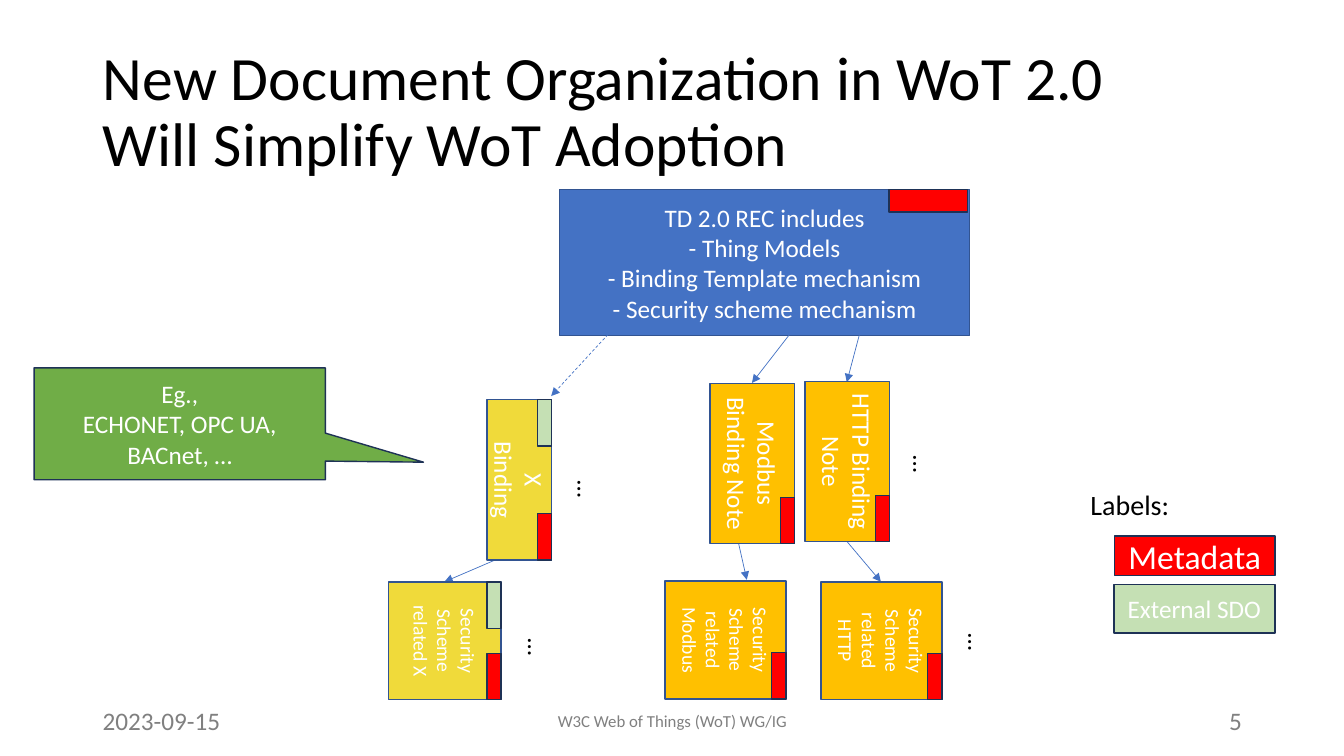
from lxml import etree
from pptx import Presentation
from pptx import util as u
from pptx.dml.color import RGBColor
from pptx.enum import dml, shapes, text
from pptx.oxml.ns import qn

BLUE, GOLD, YELLOW, RED = "4472C4", "FFC000", "F0DA3A", "FF0000"
MINT, GREEN, GREY = "C5E0B4", "70AD47", "808080"
WHITE, BLACK, EDGE, DARK = "FFFFFF", "000000", "325491", "1E3256"
LEFT, MID, RIGHT = text.PP_ALIGN.LEFT, text.PP_ALIGN.CENTER, text.PP_ALIGN.RIGHT
RECT = shapes.MSO_SHAPE.RECTANGLE


def color(code):
    return RGBColor.from_string(code)


class Sketch:
    font = "Calibri"
    tag_size = 1.17, 0.36

    def __init__(self, deck):
        self.slide = deck.slides.add_slide(deck.slide_layouts[5])

    def typeset(self, frame, lines, size, ink, align):
        frame.vertical_anchor = text.MSO_ANCHOR.MIDDLE
        for i, line in enumerate(lines):
            para = frame.add_paragraph() if i else frame.paragraphs[0]
            para.text = line
            para.alignment = align
            para.font.name = self.font
            para.font.size = u.Pt(size)
            para.font.color.rgb = color(ink)

    def title(self, words, x, y, w, h):
        head = self.slide.shapes.title
        head.left, head.top, head.width, head.height = map(u.Cm, (x, y, w, h))
        self.typeset(head.text_frame, [words], 44, BLACK, LEFT)
        head.text_frame.auto_size = text.MSO_AUTO_SIZE.NONE
        head.text_frame.word_wrap = True
        head.text_frame.paragraphs[0].line_spacing = 0.9

    def label(self, words, x, y, w, h, size=18, ink=BLACK, align=LEFT, wrap=False):
        box = self.slide.shapes.add_textbox(*map(u.Cm, (x, y, w, h)))
        box.text_frame.word_wrap = wrap
        self.typeset(box.text_frame, [words], size, ink, align)
        return box

    def box(self, x, y, w, h, fill, edge=DARK, lines=(), size=18, kind=RECT):
        box = self.slide.shapes.add_shape(kind, *map(u.Cm, (x, y, w, h)))
        box.shadow.inherit = False
        box.fill.solid()
        box.fill.fore_color.rgb = color(fill)
        box.line.color.rgb = color(edge)
        box.line.width = u.Pt(1)
        self.typeset(box.text_frame, lines, size, WHITE, MID)
        return box

    def turned(self, x, y, w, h, *style):
        box = self.box(x - w / 2, y - h / 2, w, h, *style)
        box.rotation = 90

    def note(self, x, y, w, h, fill, words, size, outer):
        self.turned(x, y, w, h, fill, EDGE, [words], size)
        length, width = self.tag_size
        side, drop = x + (h - width) / 2, (w - length) / 2
        self.turned(side, y + drop, length, width, RED)
        if outer:
            self.turned(side, y - drop, length, width, MINT)

    def dots(self, x, y):
        w, h = 0.97, 1.02
        self.label("…", x - w / 2, y - h / 2, w, h).rotation = 90

    def arrow(self, x1, y1, x2, y2, dash=False):
        link = self.slide.shapes.add_connector(
            shapes.MSO_CONNECTOR.STRAIGHT, *map(u.Cm, (x1, y1, x2, y2)))
        link.line.color.rgb = color(BLUE)
        link.line.width = u.Pt(0.5)
        if dash:
            link.line.dash_style = dml.MSO_LINE.DASH
        props = link.element.spPr
        tip = etree.SubElement(props.find(qn("a:ln")), qn("a:tailEnd"))
        tip.set("type", "triangle")
        etree.SubElement(props, qn("a:effectLst"))


def main():
    deck = Presentation()
    deck.slide_width, deck.slide_height = u.Cm(33.87), u.Cm(19.05)
    page = Sketch(deck)

    page.title("New Document Organization in WoT 2.0 Will Simplify WoT Adoption",
               2.34, 1.02, 27.81, 3.68)
    for words, x, w, size, align in (
            ("2023-09-15", 2.34, 7.62, 18, LEFT),
            ("W3C Web of Things (WoT) WG/IG", 11.23, 11.43, 12, MID),
            ("5", 23.93, 7.62, 18, RIGHT)):
        page.label(words, x, 17.65, w, 1.02, size, GREY, align, True)

    page.box(14.1, 4.78, 10.34, 3.68, BLUE, EDGE, [
        "TD 2.0 REC includes\n- Thing Models\n- Binding Template mechanism",
        "- Security scheme mechanism"])
    page.box(22.4, 4.78, 1.98, 0.56, RED)

    for ends in ((21.69, 8.31, 21.34, 9.63), (19.99, 8.31, 18.95, 9.65),
                 (21.34, 13.64, 22.2, 14.66), (18.59, 13.59, 18.82, 14.61),
                 (15.32, 8.43, 13.89, 9.98, True), (13.11, 13.84, 11.2, 14.66)):
        page.arrow(*ends)

    for x, y, h, fill, words in (
            (13.09, 12.09, 1.63, YELLOW, "X\nBinding"),
            (18.96, 11.68, 2.13, GOLD, "Modbus\nBinding Note"),
            (21.35, 11.63, 2.13, GOLD, "HTTP Binding\nNote")):
        page.note(x, y, 4.04, h, fill, words, 18, fill == YELLOW)

    for x, y, h, fill, topic in (
            (11.21, 16.15, 2.84, YELLOW, "X"),
            (18.28, 16.13, 3.05, GOLD, "Modbus"),
            (22.21, 16.15, 3.05, GOLD, "HTTP")):
        page.note(x, y, 2.97, h, fill, f"Security\nScheme related {topic}",
                  14, fill == YELLOW)

    for spot in ((14.81, 12.34), (23.27, 11.71), (13.56, 16.33), (24.66, 16.21)):
        page.dots(*spot)

    page.label("Labels:", 27.23, 12.14, 2.51, 1.12, 20)
    page.box(28.09, 13.51, 4.04, 0.99, RED, DARK, ["Metadata"], 24)
    page.box(28.07, 14.73, 4.06, 1.22, MINT, DARK, ["External SDO"])

    hint = page.box(0.86, 9.27, 7.34, 2.82, GREEN, DARK,
                    ["Eg.,\nECHONET, OPC UA, BACnet, …"],
                    kind=shapes.MSO_SHAPE.RECTANGULAR_CALLOUT)
    hint.adjustments[0], hint.adjustments[1] = 0.837, 0.343

    deck.save("out.pptx")


if __name__ == "__main__":
    main()
